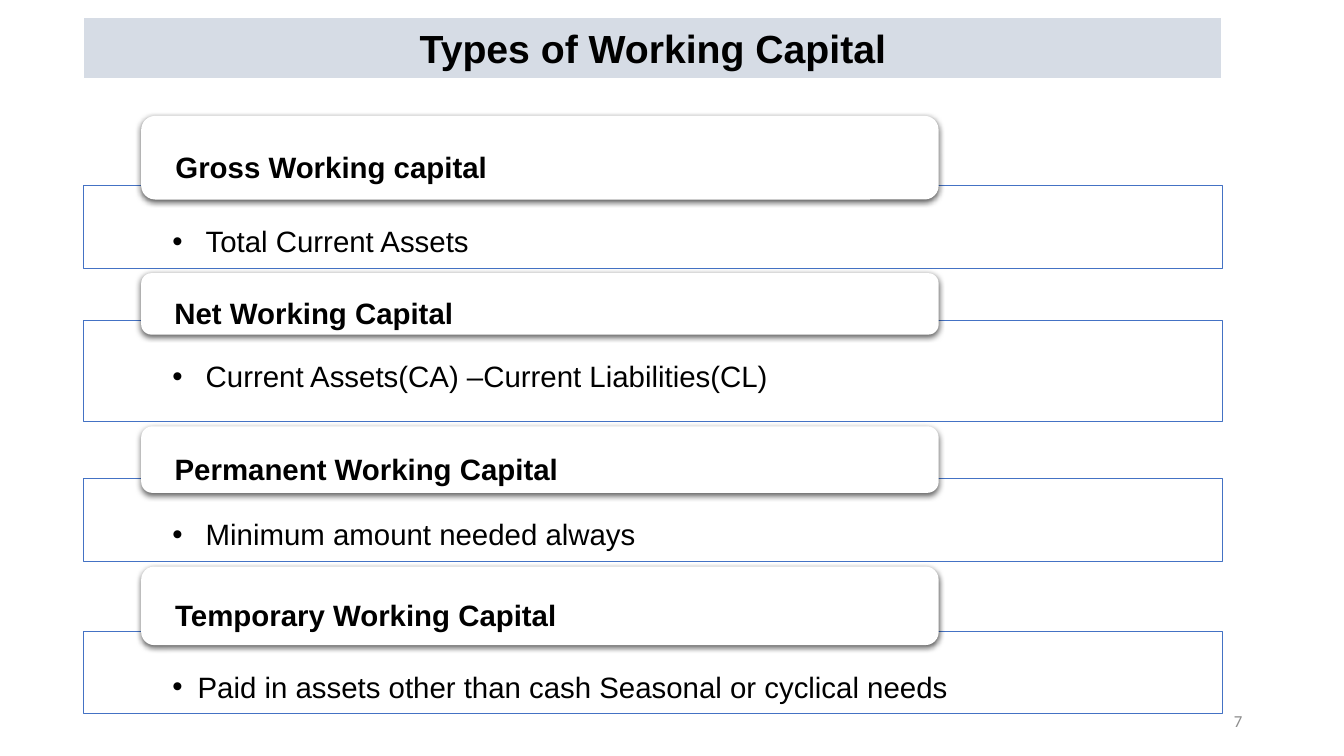
from lxml import etree
from pptx import Presentation
from pptx.dml.color import RGBColor
from pptx.enum.shapes import MSO_SHAPE
from pptx.enum.text import MSO_ANCHOR, PP_ALIGN
from pptx.oxml import parse_xml
from pptx.oxml.ns import nsdecls, qn
from pptx.util import Inches, Pt

RECT, ROUNDED = MSO_SHAPE.RECTANGLE, MSO_SHAPE.ROUNDED_RECTANGLE
TOP, MIDDLE = MSO_ANCHOR.TOP, MSO_ANCHOR.MIDDLE
LEFT, CENTER, RIGHT = PP_ALIGN.LEFT, PP_ALIGN.CENTER, PP_ALIGN.RIGHT

# Content
TITLE = "Types of Working Capital"
PAGE_NUMBER = "7"
# heading, detail, heading height, panel height, bullet indent
TYPES = [
    ("Gross Working capital", "Total Current Assets", 0.83, 0.82, 0.33),
    ("Net Working Capital", "Current Assets(CA) –Current Liabilities(CL)", 0.61, 1, 0.33),
    ("Permanent Working Capital", "Minimum amount needed always", 0.66, 0.82, 0.33),
    ("Temporary Working Capital",
     "Paid in assets other than cash Seasonal or cyclical needs", 0.78, 0.82, 0.25),
]
COLORS = {"band": "D6DCE5", "white": "FFFFFF", "outline": "4472C4",
          "text": "000000", "number": "8C8C8C"}

# Layout in inches
PANEL_LEFT, PANEL_WIDTH = 0.83, 11.29
HEADING_LEFT, HEADING_WIDTH = 1.4, 7.91
FIRST_TOP, OVERLAP, GAP = 1.15, 0.14, 0.05


def color(name):
    return RGBColor.from_string(COLORS[name])


def add_box(page, kind, area, fill, line=None, line_width=1):
    box = page.shapes.add_shape(kind, *map(Inches, area))
    box.shadow.inherit = False
    box.fill.solid()
    box.fill.fore_color.rgb = color(fill)
    if line:
        box.line.color.rgb = color(line)
        box.line.width = Pt(line_width)
    else:
        box.line.fill.background()
    return box


def write(box, text, size, align=LEFT, anchor=MIDDLE, margins=(0.1, 0.05, 0.1, 0.05),
          bold=False, font="Arial", ink="text", spacing=1.0, bullet_indent=None):
    frame = box.text_frame
    frame.word_wrap = True
    frame.vertical_anchor = anchor
    (frame.margin_left, frame.margin_top,
     frame.margin_right, frame.margin_bottom) = map(Inches, margins)
    para = frame.paragraphs[0]
    para.alignment = align
    para.line_spacing = spacing
    if bullet_indent:
        properties = para._p.get_or_add_pPr()
        properties.set("marL", str(Inches(bullet_indent)))
        properties.set("indent", str(-Inches(bullet_indent)))
        etree.SubElement(properties, qn("a:buFont")).set("typeface", "Arial")
        etree.SubElement(properties, qn("a:buChar")).set("char", "•")
    span = para.add_run()
    span.text = text
    span.font.name = font
    span.font.size = Pt(size)
    span.font.bold = bold
    span.font.color.rgb = color(ink)


def add_drop_shadow(box):
    properties = box._element.spPr
    properties.remove(properties.find(qn("a:effectLst")))
    properties.append(parse_xml(
        f'<a:effectLst {nsdecls("a")}><a:outerShdw blurRad="{Pt(4.5)}" dist="{Pt(1.5)}" '
        'dir="5400000" algn="ctr" rotWithShape="0"><a:srgbClr val="000000">'
        '<a:alpha val="63000"/></a:srgbClr></a:outerShdw></a:effectLst>'))


def main():
    deck = Presentation()
    deck.slide_width, deck.slide_height = Inches(13.33), Inches(7.5)
    page = deck.slides.add_slide(deck.slide_layouts[6])

    # Title band
    band = add_box(page, RECT, (PANEL_LEFT, 0.17, PANEL_WIDTH, 0.61), "band", "white")
    write(band, TITLE, 28, align=CENTER, bold=True)

    # Page number
    number = page.shapes.add_textbox(*map(Inches, (9.42, 6.95, 3, 0.4)))
    write(number, PAGE_NUMBER, 12, align=RIGHT, font="Calibri", ink="number")

    # Each heading overlaps the top of its panel
    top = FIRST_TOP
    for heading, detail, heading_height, panel_height, indent in TYPES:
        panel_top = top + heading_height - OVERLAP
        panel = add_box(page, RECT, (PANEL_LEFT, panel_top, PANEL_WIDTH, panel_height),
                        "white", "outline", 0.5)
        write(panel, detail, 21, anchor=TOP, margins=(0.88, 0.2, 0.88, 0.16),
              spacing=1.5, bullet_indent=indent)
        tab = add_box(page, ROUNDED, (HEADING_LEFT, top, HEADING_WIDTH, heading_height), "white")
        add_drop_shadow(tab)
        write(tab, heading, 21, margins=(0.3, 0, 0.3, 0), bold=True, spacing=1.5)
        top = panel_top + panel_height + GAP

    deck.save("out.pptx")


if __name__ == "__main__":
    main()
